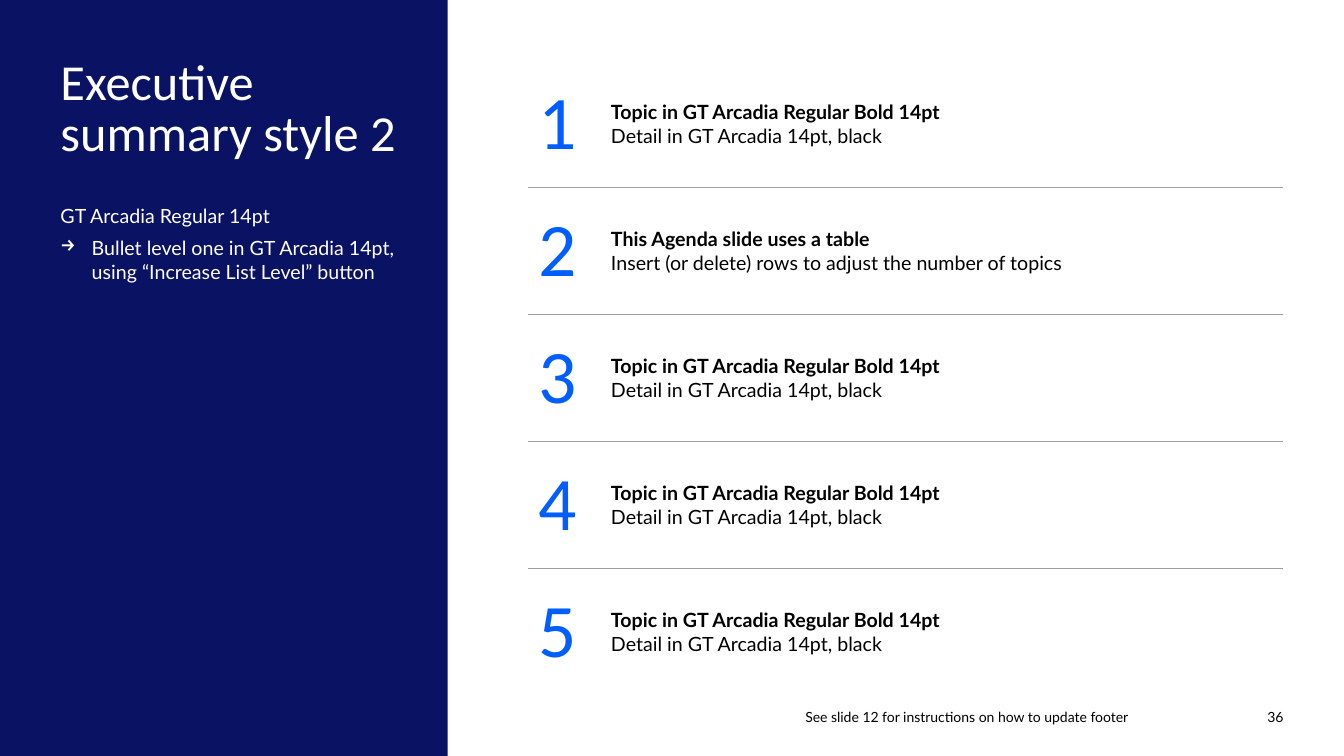
from pptx import Presentation
from pptx.dml.color import RGBColor
from pptx.enum.shapes import MSO_SHAPE
from pptx.enum.text import MSO_ANCHOR, MSO_AUTO_SIZE, PP_ALIGN
from pptx.oxml import parse_xml
from pptx.oxml.ns import nsdecls
from pptx.util import Inches, Pt

RECT = MSO_SHAPE.RECTANGLE
TOP, MIDDLE, BOTTOM = MSO_ANCHOR.TOP, MSO_ANCHOR.MIDDLE, MSO_ANCHOR.BOTTOM
LEFT, RIGHT = PP_ALIGN.LEFT, PP_ALIGN.RIGHT
NO_AUTOFIT = MSO_AUTO_SIZE.NONE

HEAD_FONT, BODY_FONT = "Calibri", "Lato"
NAVY, BLUE, GREY, BLACK, WHITE = "0A1264", "005EFF", "9C9FA1", "000000", "FFFFFF"

TOPIC = ("Topic in GT Arcadia Regular Bold 14pt", "Detail in GT Arcadia 14pt, black")
TOPICS = [
    TOPIC,
    ("This Agenda slide uses a table",
     "Insert (or delete) rows to adjust the number of topics"),
    TOPIC,
    TOPIC,
    TOPIC,
]


def rgb(color):
    return RGBColor.from_string(color)


def format_runs(p, size, color, font=BODY_FONT, bold=False):
    for r in p.runs:
        r.font.size = Pt(size)
        r.font.name = font
        r.font.bold = bold
        r.font.color.rgb = rgb(color)


def set_frame(tf, anchor, right_margin=0):
    tf.word_wrap = True
    tf.auto_size = NO_AUTOFIT
    tf.vertical_anchor = anchor
    tf.margin_left = tf.margin_top = tf.margin_bottom = 0
    tf.margin_right = Inches(right_margin)


def add_text(s, left, top, width, height, text, anchor=TOP):
    tf = s.shapes.add_textbox(
        Inches(left), Inches(top), Inches(width), Inches(height)).text_frame
    set_frame(tf, anchor)
    tf.text = text
    return tf


def add_arrow_bullet(p, indent):
    """Give the paragraph an arrow bullet with a hanging indent in inches."""
    pPr = p._p.get_or_add_pPr()
    pPr.set("marL", str(Inches(indent)))
    pPr.set("indent", str(-Inches(indent)))
    pPr.append(parse_xml(f'<a:buChar {nsdecls("a")} char="→"/>'))


def add_rule(cell, side):
    """Draw a thin grey border on the cell; side is T or B."""
    tcPr = cell._tc.get_or_add_tcPr()
    line = parse_xml(
        f'<a:ln{side} {nsdecls("a")} w="{Pt(0.5)}"><a:solidFill>'
        f'<a:srgbClr val="{GREY}"/></a:solidFill></a:ln{side}>')
    tcPr.insert(len(tcPr.findall(line.tag.replace("lnB", "lnT"))), line)


def add_side_panel(s, left, top, width, height):
    panel = s.shapes.add_shape(
        RECT, Inches(left), Inches(top), Inches(width), Inches(height))
    panel.shadow.inherit = False
    panel.fill.solid()
    panel.fill.fore_color.rgb = rgb(NAVY)
    panel.line.fill.background()
    s.shapes._spTree.insert(2, panel._element)

    margin, text_width = 0.6, 3.61
    title = s.shapes.title
    title.left, title.top = Inches(left + margin), Inches(top + margin)
    title.width, title.height = Inches(text_width), Inches(0.95)
    tf = title.text_frame
    tf.text = "Executive summary style 2"
    set_frame(tf, TOP, right_margin=0.2)
    p = tf.paragraphs[0]
    p.alignment = LEFT
    p.line_spacing = Pt(36)
    format_runs(p, 36, WHITE, HEAD_FONT)

    tf = add_text(
        s, left + margin, top + 2.02, text_width, 3.77,
        "GT Arcadia Regular 14pt\n"
        "Bullet level one in GT Arcadia 14pt, using “Increase List Level” button")
    add_arrow_bullet(tf.paragraphs[1], 0.31)
    for p in tf.paragraphs:
        p.line_spacing = 1.01
        p.space_after = Pt(6)
        format_runs(p, 14, WHITE)


def add_agenda(s, left, top, width, height):
    number_width = 0.72
    table = s.shapes.add_table(
        len(TOPICS), 2, Inches(left), Inches(top), Inches(width), Inches(height)).table
    table.first_row = table.horz_banding = False
    table.columns[0].width = Inches(number_width)
    table.columns[1].width = Inches(width - number_width)

    for i, (topic, detail) in enumerate(TOPICS):
        table.rows[i].height = Inches(height / len(TOPICS))
        number, text = table.rows[i].cells
        number.text = str(i + 1)
        format_runs(number.text_frame.paragraphs[0], 54, BLUE, HEAD_FONT)
        text.text = f"{topic}\n{detail}"
        for p, bold in zip(text.text_frame.paragraphs, (True, False)):
            format_runs(p, 14, BLACK, bold=bold)
        for cell in (number, text):
            cell.vertical_anchor = MIDDLE
            cell.fill.background()
            if i > 0:
                add_rule(cell, "T")
            if i < len(TOPICS) - 1:
                add_rule(cell, "B")


def add_footer(s, left, top, width, height):
    number_width, gap = 1.32, 0.22
    note_width = width - number_width - gap
    for x, w, text in (
        (left, note_width, "See slide 12 for instructions on how to update footer"),
        (left + note_width + gap, number_width, "36"),
    ):
        p = add_text(s, x, top, w, height, text, BOTTOM).paragraphs[0]
        p.alignment = RIGHT
        format_runs(p, 10, BLACK)


def main():
    prs = Presentation()
    prs.slide_width, prs.slide_height = Inches(13.33), Inches(7.5)
    s = prs.slides.add_slide(prs.slide_layouts[5])
    add_side_panel(s, 0, 0, 4.44, 7.5)
    add_agenda(s, 5.24, 0.6, 7.48, 6.3)
    add_footer(s, 5.23, 6.9, 7.5, 0.3)
    prs.save("out.pptx")


if __name__ == "__main__":
    main()
